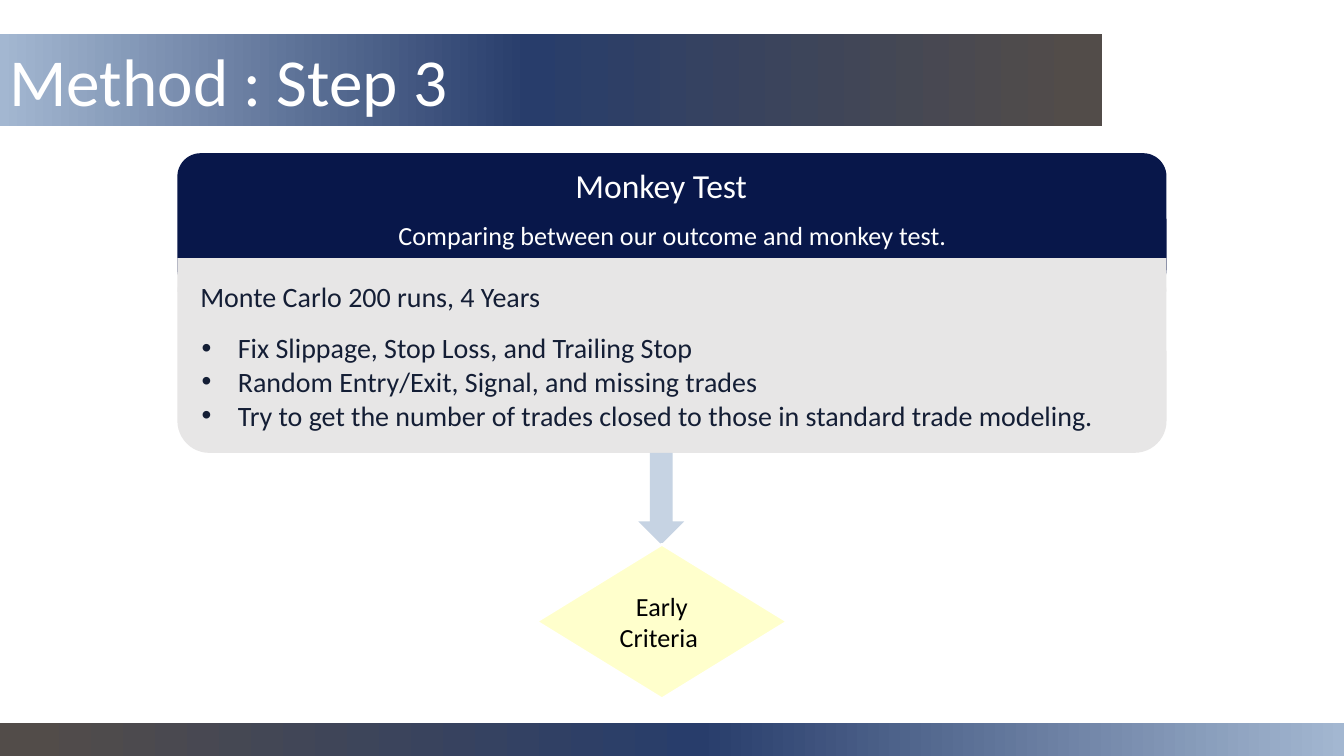
from lxml import etree
from pptx import Presentation
from pptx import util as u
from pptx.dml.color import RGBColor
from pptx.enum import shapes, text
from pptx.oxml.ns import qn

PAGE_WIDTH = 10
PAGE_HEIGHT = PAGE_WIDTH * 9 / 16
COLOURS = {
    "navy": "08174A", "grey": "E7E6E6", "ink": "141E35", "white": "FFFFFF",
    "arrow": "C6D3E3", "yellow": "FFFFCC", "black": "000000",
    "sky": "A3B7D1", "blue": "283D6B", "brown": "524C49",
}
BAND_STOPS = [(0, "sky"), (48, "blue"), (98, "brown"), (100, "brown")]
FRAME = {
    "margin_left": u.Inches(0.07), "margin_right": u.Inches(0.07),
    "margin_top": u.Inches(0.04), "margin_bottom": u.Inches(0.04),
    "word_wrap": True,
}
STEPS = [
    "Fix Slippage, Stop Loss, and Trailing Stop",
    "Random Entry/Exit, Signal, and missing trades",
    "Try to get the number of trades closed to those in standard trade modeling.",
]


def colour(name):
    return RGBColor.from_string(COLOURS[name])


def apply(target, values):
    for name, value in values.items():
        setattr(target, name, value)


def place(shape, box):
    apply(shape, dict(zip(("left", "top", "width", "height"), map(u.Inches, box))))


def paint(shape, fill):
    shape.fill.solid()
    shape.fill.fore_color.rgb = colour(fill)


def paint_band(shape, stops):
    shape.fill.gradient()
    shape.fill.gradient_angle = 0
    stop_list = shape._element.spPr.find(qn("a:gradFill")).find(qn("a:gsLst"))
    for stop in list(stop_list):
        stop_list.remove(stop)
    for position, name in stops:
        stop = etree.SubElement(stop_list, qn("a:gs"), pos=str(position * 1000))
        etree.SubElement(stop, qn("a:srgbClr"), val=COLOURS[name])


def add_block(slide, kind, box, fill=None):
    block = slide.shapes.add_shape(kind, *map(u.Inches, box))
    block.shadow.inherit = False
    block.line.fill.background()
    if fill:
        paint(block, fill)
    return block


def set_frame(shape, anchor=text.MSO_ANCHOR.TOP, fit=text.MSO_AUTO_SIZE.NONE):
    apply(shape.text_frame, {**FRAME, "vertical_anchor": anchor, "auto_size": fit})


def write(paragraph, words, size, ink, align=text.PP_ALIGN.CENTER):
    paragraph.text = words
    paragraph.alignment = align
    apply(paragraph.font, {"size": u.Pt(size), "name": "Calibri"})
    paragraph.font.color.rgb = colour(ink)


def add_label(slide, box, words, size):
    label = slide.shapes.add_textbox(*map(u.Inches, box))
    set_frame(label, fit=text.MSO_AUTO_SIZE.SHAPE_TO_FIT_TEXT)
    write(label.text_frame.paragraphs[0], words, size, "white")


def set_bullet(paragraph, ink=None):
    props = paragraph._p.get_or_add_pPr()
    hang = u.Inches(0.27) if ink else 0
    props.set("marL", str(u.Inches(0.28) if ink else 0))
    props.set("indent", str(-hang))
    if ink:
        tint = etree.SubElement(props, qn("a:buClr"))
        etree.SubElement(tint, qn("a:srgbClr"), val=COLOURS[ink])
        etree.SubElement(props, qn("a:buFont"), typeface="Arial")
        etree.SubElement(props, qn("a:buChar"), char="•")
    else:
        etree.SubElement(props, qn("a:buNone"))


def fill_details(details):
    place(details, (1.42, 2.04, 7.01, 1.22))
    paint(details, "grey")
    set_frame(details)
    frame = details.text_frame
    heading = frame.paragraphs[0]
    set_bullet(heading)
    write(heading, "Monte Carlo 200 runs, 4 Years", 15, "ink", text.PP_ALIGN.LEFT)
    apply(heading, {"space_before": u.Pt(0), "space_after": u.Pt(9.5)})
    for words in STEPS:
        step = frame.add_paragraph()
        set_bullet(step, "ink")
        write(step, words, 15, "ink", text.PP_ALIGN.LEFT)
        step.space_before = u.Pt(0)


def main():
    deck = Presentation()
    apply(deck, {"slide_width": u.Inches(PAGE_WIDTH),
                 "slide_height": u.Inches(PAGE_HEIGHT)})
    slide = deck.slides.add_slide(deck.slide_layouts[1])
    kinds = shapes.MSO_SHAPE

    # Title band
    title = slide.shapes.title
    place(title, (0, 0.25, 8.2, 0.69))
    paint_band(title, BAND_STOPS)
    set_frame(title, text.MSO_ANCHOR.MIDDLE)
    write(title.text_frame.paragraphs[0], "Method : Step 3", 36, "white",
          text.PP_ALIGN.LEFT)

    # Card: navy header and grey body with a squared top edge
    add_block(slide, kinds.ROUNDED_RECTANGLE, (1.32, 1.14, 7.36, 1.04), "navy")
    add_label(slide, (1.42, 1.19, 7, 0.38), "Monkey Test", 18)
    add_block(slide, kinds.ROUNDED_RECTANGLE, (1.32, 1.94, 7.36, 1.43), "grey")
    add_block(slide, kinds.RECTANGLE, (1.32, 1.92, 7.36, 0.25), "grey")
    add_label(slide, (2.44, 1.59, 5.13, 0.31),
              "Comparing between our outcome and monkey test.", 14)

    # Card details, brought in front of the card
    details = slide.placeholders[1]
    fill_details(details)
    slide.shapes._spTree.append(details._element)

    # Flow to the decision
    add_block(slide, kinds.DOWN_ARROW, (4.75, 3.37, 0.34, 0.68), "arrow")
    decision = add_block(slide, kinds.DIAMOND, (3.99, 4.05, 1.87, 1.15), "yellow")
    decision.line.color.rgb = colour("white")
    decision.line.width = u.Pt(1.5)
    set_frame(decision, text.MSO_ANCHOR.MIDDLE)
    write(decision.text_frame.paragraphs[0], "Early Criteria ", 14, "black")

    # Footer band, mirrored
    footer = add_block(slide, kinds.RECTANGLE, (0, 5.38, PAGE_WIDTH, 0.25))
    paint_band(footer, [(100 - at, name) for at, name in reversed(BAND_STOPS)])

    deck.save("out.pptx")


if __name__ == "__main__":
    main()
